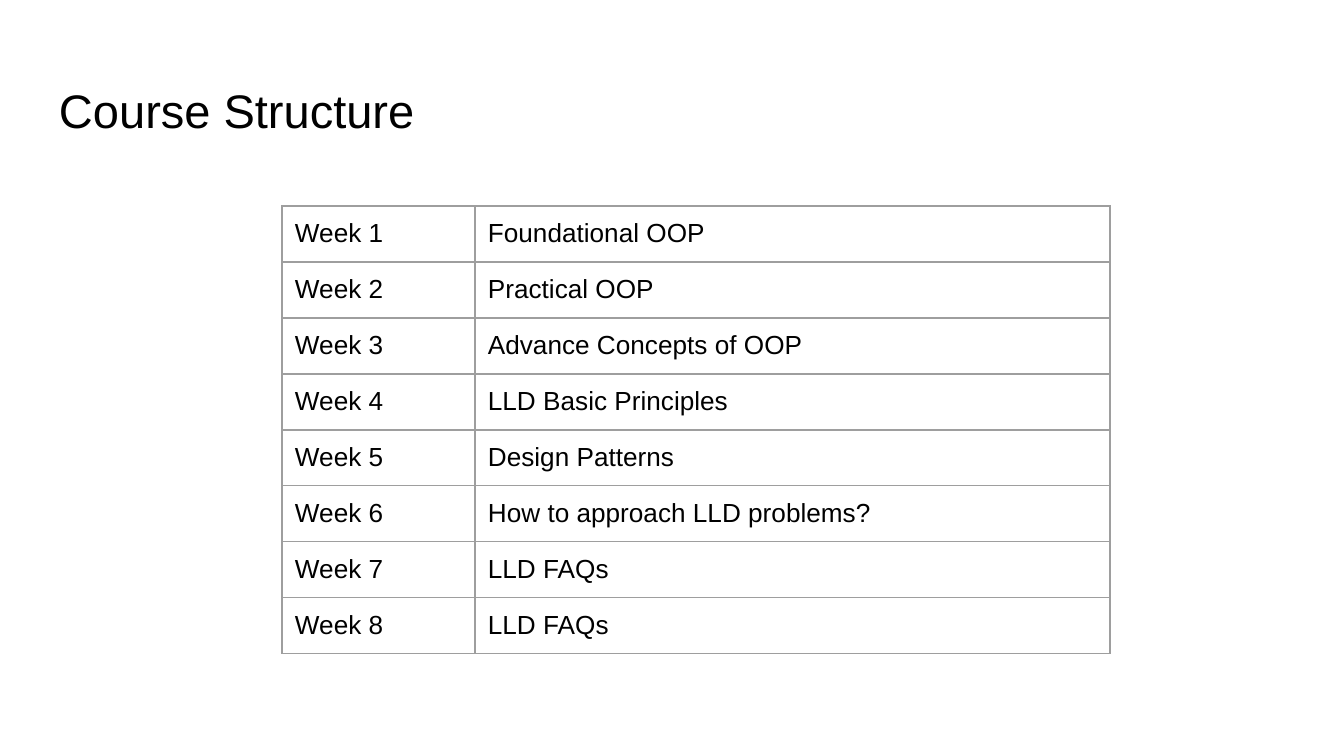
from lxml import etree
from pptx import Presentation
from pptx import util as u
from pptx.dml import color
from pptx.enum import text
from pptx.oxml import ns

FONT = "Arial"
BLACK = "000000"
WHITE = "FFFFFF"
GREY = "9E9E9E"
INSET = 13
TOPICS = [
    "Foundational OOP",
    "Practical OOP",
    "Advance Concepts of OOP",
    "LLD Basic Principles",
    "Design Patterns",
    "How to approach LLD problems?",
    "LLD FAQs",
    "LLD FAQs",
]


def px(length):
    return u.Emu(round(length * 914400 / 134.4))


def rgb(code):
    return color.RGBColor.from_string(code)


def set_insets(holder):
    for side in ("left", "top", "right", "bottom"):
        setattr(holder, f"margin_{side}", px(INSET))


def add_span(para, words, size):
    para.alignment = text.PP_ALIGN.LEFT
    span = para.add_run()
    span.text = words
    span.font.name = FONT
    span.font.size = u.Pt(size)
    span.font.color.rgb = rgb(BLACK)


def place_title(page, words):
    title = page.shapes.title
    title.left, title.top, title.width, title.height = map(px, (46, 66, 1253, 85))
    frame = title.text_frame
    frame.word_wrap = True
    frame.auto_size = text.MSO_AUTO_SIZE.NONE
    frame.vertical_anchor = text.MSO_ANCHOR.BOTTOM
    set_insets(frame)
    add_span(frame.paragraphs[0], words, 25.2)


def add_borders(cell):
    properties = cell._tc.get_or_add_tcPr()
    for position, side in enumerate(("lnL", "lnR", "lnT", "lnB")):
        line = etree.Element(ns.qn(f"a:{side}"), w=str(u.Pt(0.75)))
        fill = etree.SubElement(line, ns.qn("a:solidFill"))
        etree.SubElement(fill, ns.qn("a:srgbClr"), val=GREY)
        properties.insert(position, line)


def fill_cell(cell, words):
    cell.fill.solid()
    cell.fill.fore_color.rgb = rgb(WHITE)
    set_insets(cell)
    add_span(cell.text_frame.paragraphs[0], words, 14)
    add_borders(cell)


def add_schedule(page, topics):
    widths, row_height = (193, 635), 56
    frame = page.shapes.add_table(
        len(topics), len(widths), px(282), px(206),
        px(sum(widths)), px(row_height * len(topics)),
    )
    table = frame.table
    table.first_row = False
    table.horz_banding = False
    for column, width in zip(table.columns, widths):
        column.width = px(width)
    for index, (row, topic) in enumerate(zip(table.rows, topics)):
        row.height = px(row_height)
        for cell, words in zip(row.cells, (f"Week {index + 1}", topic)):
            fill_cell(cell, words)


def main():
    deck = Presentation()
    deck.slide_width, deck.slide_height = px(1344), px(756)
    page = deck.slides.add_slide(deck.slide_layouts[5])
    place_title(page, "Course Structure")
    add_schedule(page, TOPICS)
    deck.save("out.pptx")


if __name__ == "__main__":
    main()
